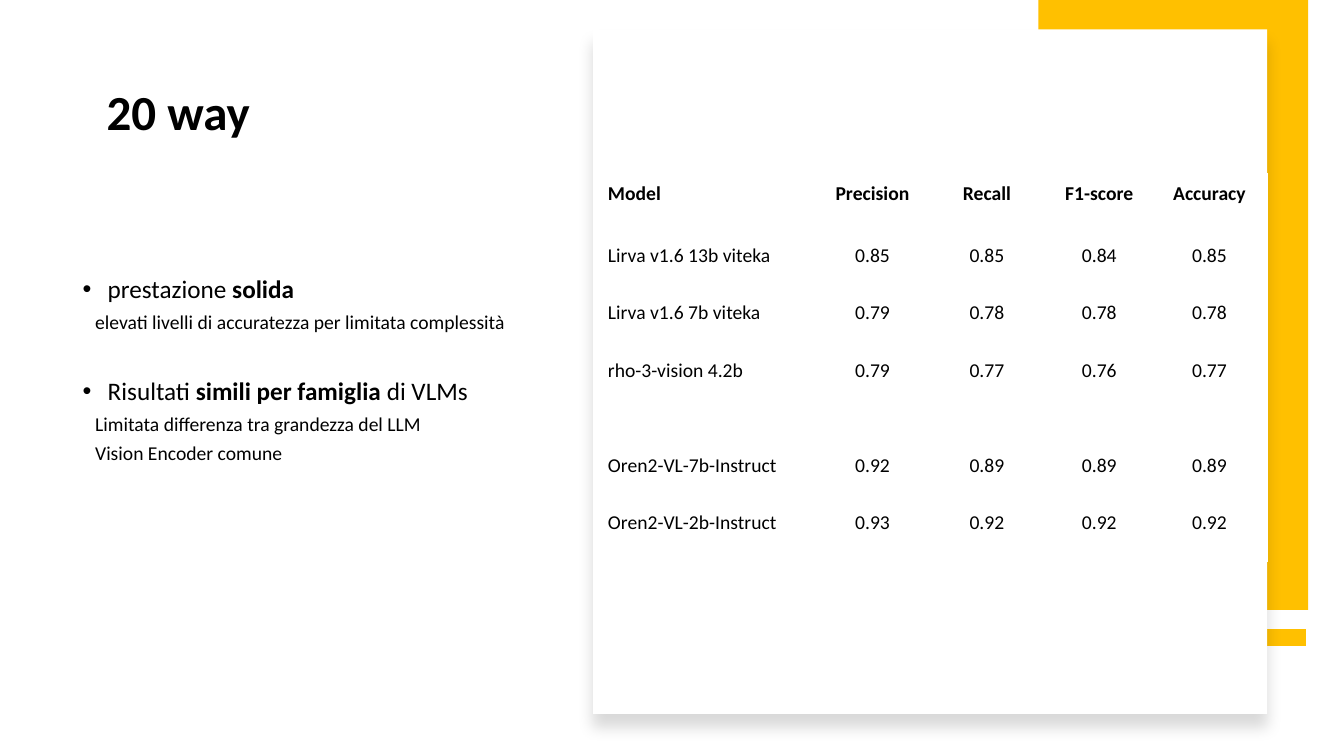
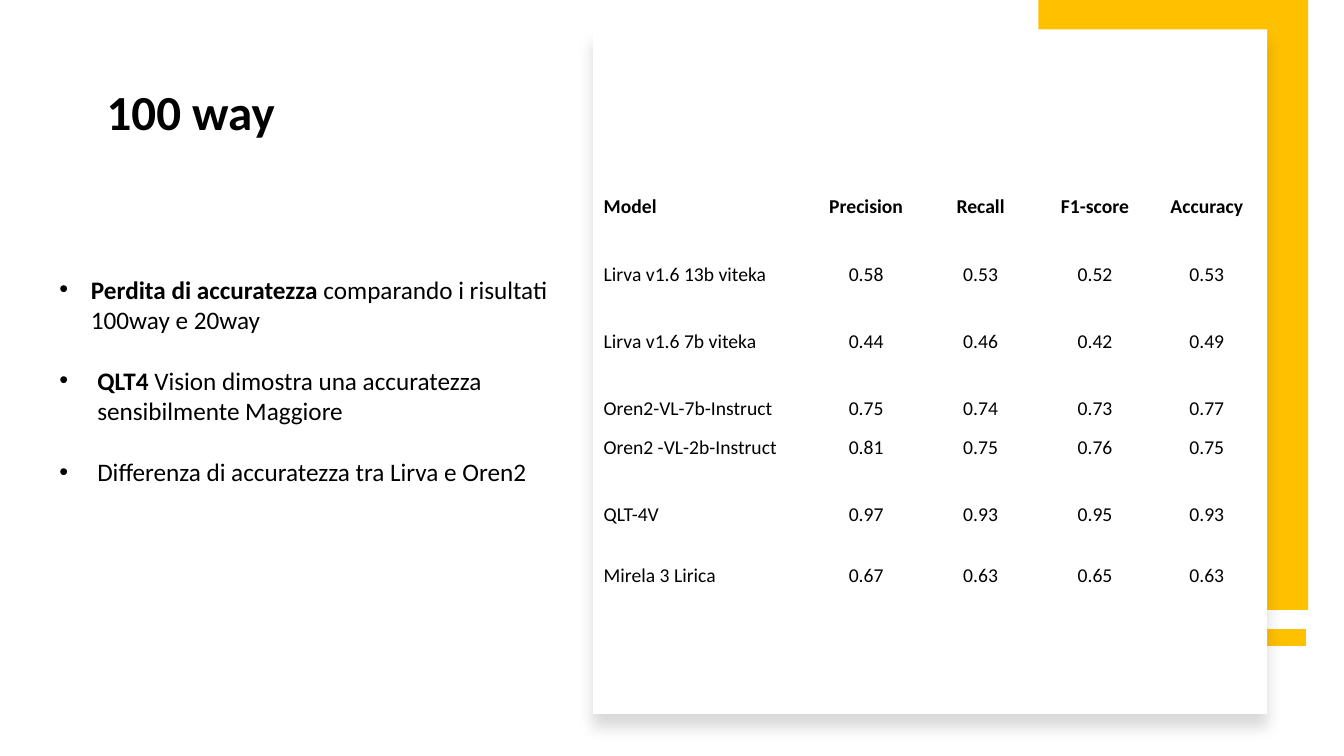
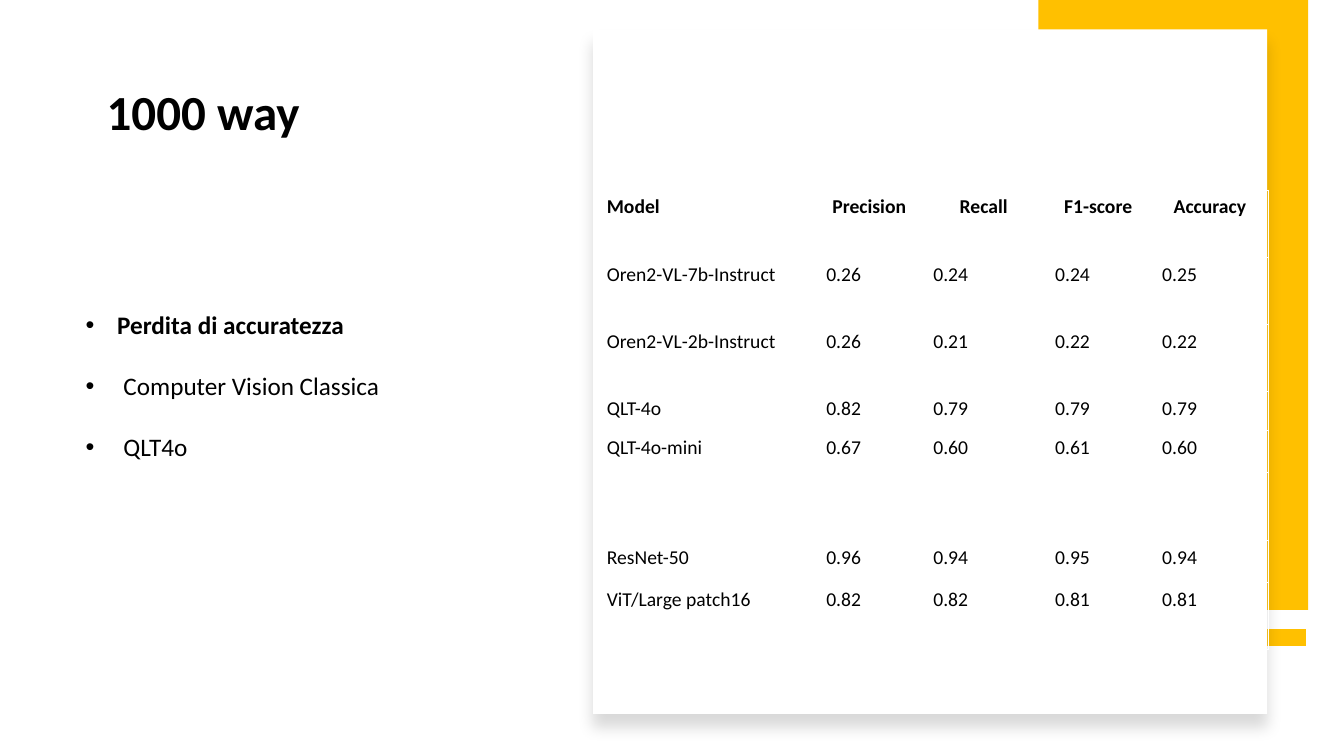
"""Build three slides comparing vision-language models on 20, 100 and 1000 classes."""
from dataclasses import dataclass

from lxml import etree
from pptx import Presentation
from pptx.dml.color import RGBColor
from pptx.enum.shapes import MSO_CONNECTOR, MSO_SHAPE
from pptx.enum.text import MSO_ANCHOR, MSO_AUTO_SIZE, PP_ALIGN
from pptx.oxml.ns import qn
from pptx.util import Emu, Pt

EMU_PER_PX = 9525
RECTANGLE = MSO_SHAPE.RECTANGLE
STRAIGHT = MSO_CONNECTOR.STRAIGHT
TOP, MIDDLE = MSO_ANCHOR.TOP, MSO_ANCHOR.MIDDLE
LEFT, CENTER, JUSTIFY = PP_ALIGN.LEFT, PP_ALIGN.CENTER, PP_ALIGN.JUSTIFY
NO_AUTOFIT = MSO_AUTO_SIZE.NONE

FONT = "Calibri"
AMBER, WHITE, BLACK = "FFC000", "FFFFFF", "000000"
TITLE_SIZE, BODY_SIZE, DETAIL_SIZE = 35, 18, 14
HEADER = ("Model", "Precision", "Recall", "F1-score", "Accuracy")


@dataclass(frozen=True)
class Box:
    """A rectangle in px."""
    left: int
    top: int
    width: int
    height: int


@dataclass(frozen=True)
class TextRun:
    """A stretch of text in one weight."""
    text: str
    bold: bool = False


@dataclass(frozen=True)
class ListItem:
    """A list paragraph; indents in px, space after in points."""
    runs: tuple[TextRun, ...]
    indent: int = 36
    hanging: int = 36
    space_after: int = 22
    level: int = 0
    size: int = BODY_SIZE


@dataclass(frozen=True)
class ScoreTable:
    """A table of scores with its px geometry."""
    left: int
    top: int
    columns: tuple[int, ...]
    heights: tuple[int, ...]
    rows: tuple[tuple[str, ...], ...]
    score_alignment: PP_ALIGN = CENTER
    margin_x: int = 10
    margin_y: int = 5


@dataclass(frozen=True)
class ResultSlide:
    """One slide: title, findings and scores."""
    title: str
    body: Box
    items: tuple[ListItem, ...]
    scores: ScoreTable
    line_spacing: float = 1.0


TITLE_BOX = Box(92, 73, 1126, 66)
CARD_BOX = Box(565, 28, 642, 652)
BAND_BOX = Box(989, 0, 257, 581)
STRIPE_Y = 607
STRIPE_RIGHT = 1244
WIDE_COLUMNS = (209, 102, 116, 102, 111)


def detail(text: str, space_after: int = 6) -> ListItem:
    """Return an unbulleted second-level item."""
    return ListItem((TextRun(text),), 24, 0, space_after, 1, DETAIL_SIZE)


SLIDES = (
    ResultSlide(
        "20 way",
        Box(57, 259, 481, 190),
        (
            ListItem((TextRun("prestazione "), TextRun("solida", True)), 36, 24, 6),
            detail("elevati livelli di accuratezza per limitata complessità", 32),
            ListItem((TextRun("Risultati "), TextRun("simili per famiglia ", True),
                      TextRun("di VLMs")), 36, 24, 6),
            detail("Limitata differenza tra grandezza del LLM"),
            detail("Vision Encoder comune"),
        ),
        ScoreTable(
            565, 165, (214, 104, 114, 100, 110), (59, 55, 55, 90, 55, 56),
            (
                HEADER,
                ("Lirva v1.6 13b viteka", "0.85", "0.85", "0.84", "0.85"),
                ("Lirva v1.6 7b viteka", "0.79", "0.78", "0.78", "0.78"),
                ("rho-3-vision 4.2b", "0.79", "0.77", "0.76", "0.77"),
                ("Oren2-VL-7b-Instruct", "0.92", "0.89", "0.89", "0.89"),
                ("Oren2-VL-2b-Instruct", "0.93", "0.92", "0.92", "0.92"),
            ),
            margin_x=14, margin_y=8,
        ),
        line_spacing=0.9,
    ),
    ResultSlide(
        "100 way",
        Box(47, 256, 497, 213),
        (
            ListItem((TextRun("Perdita di accuratezza ", True),
                      TextRun("comparando i risultati 100way e 20way")), 30, 30),
            ListItem((TextRun("QLT4 ", True),
                      TextRun("Vision dimostra una accuratezza sensibilmente Maggiore"))),
            ListItem((TextRun("Differenza di accuratezza tra Lirva e Oren2"),)),
        ),
        ScoreTable(
            565, 181, WIDE_COLUMNS, (64, 64, 64, 37, 64, 58, 58),
            (
                HEADER,
                ("Lirva v1.6 13b viteka", "0.58", "0.53", "0.52", "0.53"),
                ("Lirva v1.6 7b viteka", "0.44", "0.46", "0.42", "0.49"),
                ("Oren2-VL-7b-Instruct", "0.75", "0.74", "0.73", "0.77"),
                ("Oren2 -VL-2b-Instruct", "0.81", "0.75", "0.76", "0.75"),
                ("QLT-4V", "0.97", "0.93", "0.95", "0.93"),
                ("Mirela 3 Lirica", "0.67", "0.63", "0.65", "0.63"),
            ),
        ),
    ),
    ResultSlide(
        "1000 way",
        Box(72, 290, 482, 156),
        (
            ListItem((TextRun("Perdita di accuratezza", True),), 30, 30),
            ListItem((TextRun("Computer Vision Classica"),)),
            ListItem((TextRun("QLT4o"),)),
        ),
        ScoreTable(
            568, 181, WIDE_COLUMNS, (64, 64, 64, 37, 40, 65, 40, 64),
            (
                HEADER,
                ("Oren2-VL-7b-Instruct", "0.26", "0.24", "0.24", "0.25"),
                ("Oren2-VL-2b-Instruct", "0.26", "0.21", "0.22", "0.22"),
                ("QLT-4o", "0.82", "0.79", "0.79", "0.79"),
                ("QLT-4o-mini", "0.67", "0.60", "0.61", "0.60"),
                (),
                ("ResNet-50", "0.96", "0.94", "0.95", "0.94"),
                ("ViT/Large patch16", "0.82", "0.82", "0.81", "0.81"),
            ),
            score_alignment=JUSTIFY,
        ),
    ),
)


def px(length: int) -> Emu:
    """Turn px into EMU."""
    return Emu(length * EMU_PER_PX)


def frame(box: Box) -> tuple[Emu, Emu, Emu, Emu]:
    """Return a box as left, top, width and height in EMU."""
    return px(box.left), px(box.top), px(box.width), px(box.height)


def color(value: str) -> RGBColor:
    """Turn a hex string into a colour."""
    return RGBColor.from_string(value)


def add_run(paragraph, text: str, size: int, bold: bool = False) -> None:
    """Add one formatted run."""
    run = paragraph.add_run()
    run.text = text
    run.font.name = FONT
    run.font.size = Pt(size)
    run.font.bold = bold
    run.font.color.rgb = color(BLACK)


def add_rectangle(shapes, box: Box, fill: str):
    """Add a plain filled rectangle."""
    shape = shapes.add_shape(RECTANGLE, *frame(box))
    shape.shadow.inherit = False
    shape.fill.solid()
    shape.fill.fore_color.rgb = color(fill)
    shape.line.fill.background()
    return shape


def add_card_shadow(card) -> None:
    """Give the card a soft shadow below."""
    effects = card.element.find(qn("p:spPr")).find(qn("a:effectLst"))
    shadow = etree.SubElement(effects, qn("a:outerShdw"), blurRad=str(Pt(11)),
                              dist=str(Pt(10)), dir="5400000", algn="t", rotWithShape="0")
    shade = etree.SubElement(shadow, qn("a:srgbClr"), val=BLACK)
    etree.SubElement(shade, qn("a:alpha"), val="15000")


def add_backdrop(slide) -> None:
    """Draw the amber stripe and band, and the white card over them."""
    accent = slide.shapes.add_group_shape()
    stripe = accent.shapes.add_connector(
        STRAIGHT, px(STRIPE_RIGHT), px(STRIPE_Y), px(BAND_BOX.left), px(STRIPE_Y))
    stripe.line.color.rgb = color(AMBER)
    stripe.line.width = Pt(12)
    etree.SubElement(stripe.element.find(qn("p:spPr")), qn("a:effectLst"))
    add_rectangle(accent.shapes, BAND_BOX, AMBER)
    add_card_shadow(add_rectangle(slide.shapes, CARD_BOX, WHITE))


def place_placeholder(shape, box: Box, anchor: MSO_ANCHOR):
    """Move a placeholder to the front and into its box; return its text frame."""
    shape.element.getparent().append(shape.element)
    shape.left, shape.top, shape.width, shape.height = frame(box)
    text_frame = shape.text_frame
    text_frame.word_wrap = True
    text_frame.auto_size = NO_AUTOFIT
    text_frame.vertical_anchor = anchor
    return text_frame


def set_bullet(paragraph, item: ListItem) -> None:
    """Set the indents and the bullet of a list paragraph."""
    properties = paragraph._p.get_or_add_pPr()
    properties.set("marL", str(px(item.indent)))
    properties.set("indent", str(px(-item.hanging)))
    if item.hanging:
        etree.SubElement(properties, qn("a:buFont"), typeface="Arial")
        etree.SubElement(properties, qn("a:buChar"), char="•")
    else:
        etree.SubElement(properties, qn("a:buNone"))


def fill_list(text_frame, items: tuple[ListItem, ...], line_spacing: float) -> None:
    """Write the list paragraphs."""
    for index, item in enumerate(items):
        paragraph = text_frame.add_paragraph() if index else text_frame.paragraphs[0]
        paragraph.level = item.level
        paragraph.alignment = LEFT
        paragraph.line_spacing = line_spacing
        paragraph.space_before = Pt(0)
        paragraph.space_after = Pt(item.space_after)
        set_bullet(paragraph, item)
        for run in item.runs:
            add_run(paragraph, run.text, item.size, run.bold)


def set_borders(cell) -> None:
    """Draw thin white borders around a cell."""
    properties = cell._tc.get_or_add_tcPr()
    for index, side in enumerate(("a:lnL", "a:lnR", "a:lnT", "a:lnB")):
        border = etree.Element(qn(side), w=str(Pt(0.6)))
        fill = etree.SubElement(border, qn("a:solidFill"))
        etree.SubElement(fill, qn("a:srgbClr"), val=WHITE)
        properties.insert(index, border)


def add_score_table(slide, scores: ScoreTable) -> None:
    """Add the table of scores."""
    box = Box(scores.left, scores.top, sum(scores.columns), sum(scores.heights))
    table = slide.shapes.add_table(
        len(scores.heights), len(scores.columns), *frame(box)).table
    table.first_row = False
    table.horz_banding = False
    for column, width in zip(table.columns, scores.columns):
        column.width = px(width)
    for row, height in zip(table.rows, scores.heights):
        row.height = px(height)
        for cell in row.cells:
            cell.fill.background()
            cell.margin_left = cell.margin_right = px(scores.margin_x)
            cell.margin_top = cell.margin_bottom = px(scores.margin_y)
            cell.vertical_anchor = TOP
            set_borders(cell)
    for row_index, values in enumerate(scores.rows):
        is_header = row_index == 0
        for column_index, value in enumerate(values):
            paragraph = table.cell(row_index, column_index).text_frame.paragraphs[0]
            score_alignment = CENTER if is_header else scores.score_alignment
            paragraph.alignment = score_alignment if column_index else JUSTIFY
            add_run(paragraph, value, DETAIL_SIZE, is_header)


def add_result_slide(presentation, content: ResultSlide) -> None:
    """Add one complete slide."""
    slide = presentation.slides.add_slide(presentation.slide_layouts[1])
    title, body = slide.shapes.title, slide.placeholders[1]
    add_backdrop(slide)
    fill_list(place_placeholder(body, content.body, TOP), content.items, content.line_spacing)
    heading = place_placeholder(title, TITLE_BOX, MIDDLE).paragraphs[0]
    heading.alignment = LEFT
    add_run(heading, content.title, TITLE_SIZE, True)
    add_score_table(slide, content.scores)


def main() -> None:
    """Build and save the presentation."""
    presentation = Presentation()
    presentation.slide_width, presentation.slide_height = px(1280), px(720)
    for content in SLIDES:
        add_result_slide(presentation, content)
    presentation.save("out.pptx")


if __name__ == "__main__":
    main()
